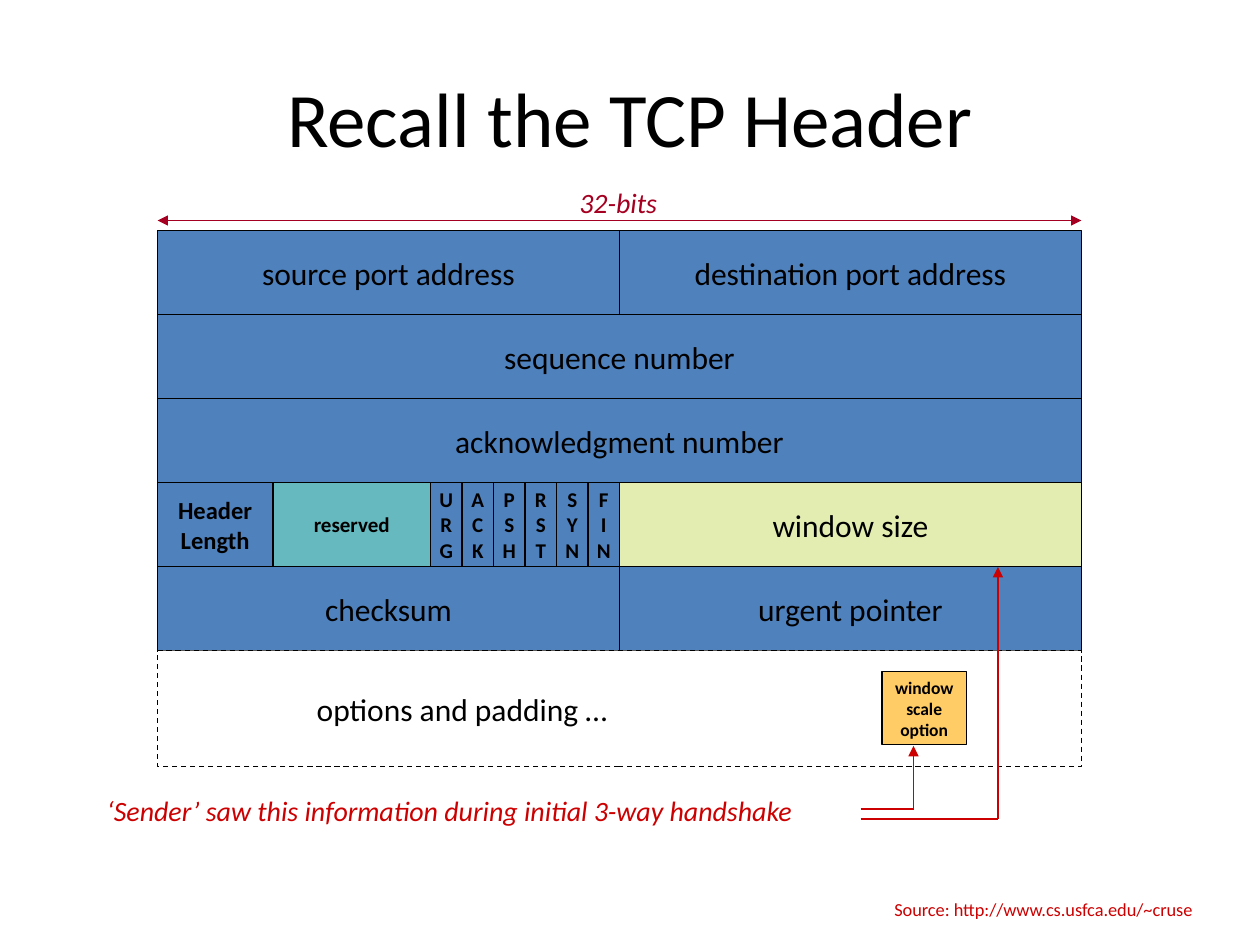
from lxml import etree
from pptx import Presentation
from pptx.dml.color import RGBColor
from pptx.enum.dml import MSO_LINE
from pptx.enum.shapes import MSO_CONNECTOR, MSO_SHAPE
from pptx.enum.text import MSO_ANCHOR, PP_ALIGN
from pptx.oxml.ns import qn
from pptx.util import Inches, Pt

RECTANGLE = MSO_SHAPE.RECTANGLE
STRAIGHT = MSO_CONNECTOR.STRAIGHT
DASH = MSO_LINE.DASH
MIDDLE, TOP = MSO_ANCHOR.MIDDLE, MSO_ANCHOR.TOP
LEFT, CENTER = PP_ALIGN.LEFT, PP_ALIGN.CENTER

BLACK = RGBColor(0x00, 0x00, 0x00)
WHITE = RGBColor(0xFF, 0xFF, 0xFF)
BLUE = RGBColor(0x4F, 0x81, 0xBD)
TEAL = RGBColor(0x65, 0xB9, 0xBF)
LIME = RGBColor(0xE3, 0xED, 0xB1)
ORANGE = RGBColor(0xFF, 0xCC, 0x66)
CRIMSON = RGBColor(0xA5, 0x00, 0x21)
RED = RGBColor(0xCC, 0x00, 0x00)

# Header grid, in inches
GRID_LEFT, GRID_TOP = 1.25, 1.83
ROW_HEIGHT = 2 / 3
HALF = 11 / 3
FULL = 2 * HALF
FLAG_WIDTH = 0.25


class HeaderSlide:
    """Style and current page of the deck."""

    font_name = "Calibri"
    line_width = Pt(0.75)

    def __init__(self, deck):
        self.page = deck.slides.add_slide(deck.slide_layouts[6])

    def fill_text(self, frame, lines, align, size, color=BLACK, **style):
        """Fill a text frame, one paragraph per line."""
        for index, line in enumerate(lines):
            para = frame.paragraphs[0] if index == 0 else frame.add_paragraph()
            para.alignment = align
            span = para.add_run()
            span.text = line
            span.font.color.rgb = color
            formats = {"name": self.font_name, "size": Pt(size), **style}
            for name, value in formats.items():
                setattr(span.font, name, value)

    def label(self, text, left, top, width, height, size, align=LEFT,
              anchor=TOP, wrap=False, **style):
        box = self.page.shapes.add_textbox(
            Inches(left), Inches(top), Inches(width), Inches(height))
        frame = box.text_frame
        frame.word_wrap = wrap
        frame.vertical_anchor = anchor
        self.fill_text(frame, [text], align, size, **style)

    def field(self, lines, left, top, width, height=ROW_HEIGHT, fill=BLUE,
              size=18, dash=None, right_inset=0, **style):
        box = self.page.shapes.add_shape(
            RECTANGLE, Inches(left), Inches(top), Inches(width), Inches(height))
        box.shadow.inherit = False
        box.fill.solid()
        box.fill.fore_color.rgb = fill
        box.line.color.rgb = BLACK
        box.line.width = self.line_width
        if dash:
            box.line.dash_style = dash
        frame = box.text_frame
        formats = {"word_wrap": False, "vertical_anchor": MIDDLE,
                   "margin_left": 0, "margin_right": Inches(right_inset),
                   "margin_top": 0, "margin_bottom": 0}
        for name, value in formats.items():
            setattr(frame, name, value)
        self.fill_text(frame, lines, CENTER, size, **style)

    def line(self, start, end, color, arrows=()):
        """Draw a line; arrows holds headEnd and/or tailEnd."""
        points = [Inches(value) for value in (*start, *end)]
        connector = self.page.shapes.add_connector(STRAIGHT, *points)
        connector.line.color.rgb = color
        connector.line.width = self.line_width
        properties = connector.element.spPr
        outline = properties.find(qn("a:ln"))
        for arrow in arrows:
            etree.SubElement(outline, qn(f"a:{arrow}"), type="triangle")
        etree.SubElement(properties, qn("a:effectLst"))


def main():
    deck = Presentation()
    deck.slide_width, deck.slide_height = Inches(10), Inches(7.5)
    slide = HeaderSlide(deck)

    slide.label("Recall the TCP Header", 0.5, 0.3, 9, 1.25, 44,
                align=CENTER, anchor=MIDDLE, wrap=True)

    # Width marker
    slide.line((GRID_LEFT, 1.75), (GRID_LEFT + FULL, 1.75), CRIMSON,
               ("headEnd", "tailEnd"))
    slide.label("32-bits", 4.5, 1.42, 0.87, 0.37, 16, color=CRIMSON, italic=True)

    # Header rows: lines of text, width, and what differs from a plain field
    small = {"size": 12, "bold": True}
    flags = [(list(flag), FLAG_WIDTH, small)
             for flag in ("URG", "ACK", "PSH", "RST", "SYN", "FIN")]
    rows = [
        [(["source port address"], HALF, {}),
         (["destination port address"], HALF, {})],
        [(["sequence number"], FULL, {})],
        [(["acknowledgment number"], FULL, {})],
        [(["Header", "Length"], 11 / 12, {"size": 14, "bold": True}),
         (["reserved"], 1.25, {"fill": TEAL, **small}),
         *flags,
         (["window size"], HALF, {"fill": LIME})],
        [(["checksum"], HALF, {}), (["urgent pointer"], HALF, {})],
    ]
    top = GRID_TOP
    for row in rows:
        left = GRID_LEFT
        for lines, width, style in row:
            slide.field(lines, left, top, width, **style)
            left += width
        top += ROW_HEIGHT

    # Options
    slide.field(["options and padding …"], GRID_LEFT, top, FULL, 0.92,
                fill=WHITE, dash=DASH, right_inset=2.5)
    slide.field(["window", "scale", "option"], 7, 5.33, 0.67, 0.58,
                fill=ORANGE, size=10, bold=True)

    # Handshake note, with one bent arrow per field it points to
    slide.label("‘Sender’ saw this information during initial 3-way handshake",
                0.75, 6.25, 6.09, 0.37, 16, color=RED, italic=True)
    for across, start_y, end_y in ((7.25, 6.42, 5.92), (7.92, 6.5, 4.5)):
        slide.line((6.83, start_y), (across, start_y), RED)
        slide.line((across, start_y), (across, end_y), RED, ("tailEnd",))

    slide.label("Source: http://www.cs.usfca.edu/~cruse", 7, 7.08, 2.66, 0.28,
                10.5, wrap=True, color=RED)

    deck.save("out.pptx")


if __name__ == "__main__":
    main()
